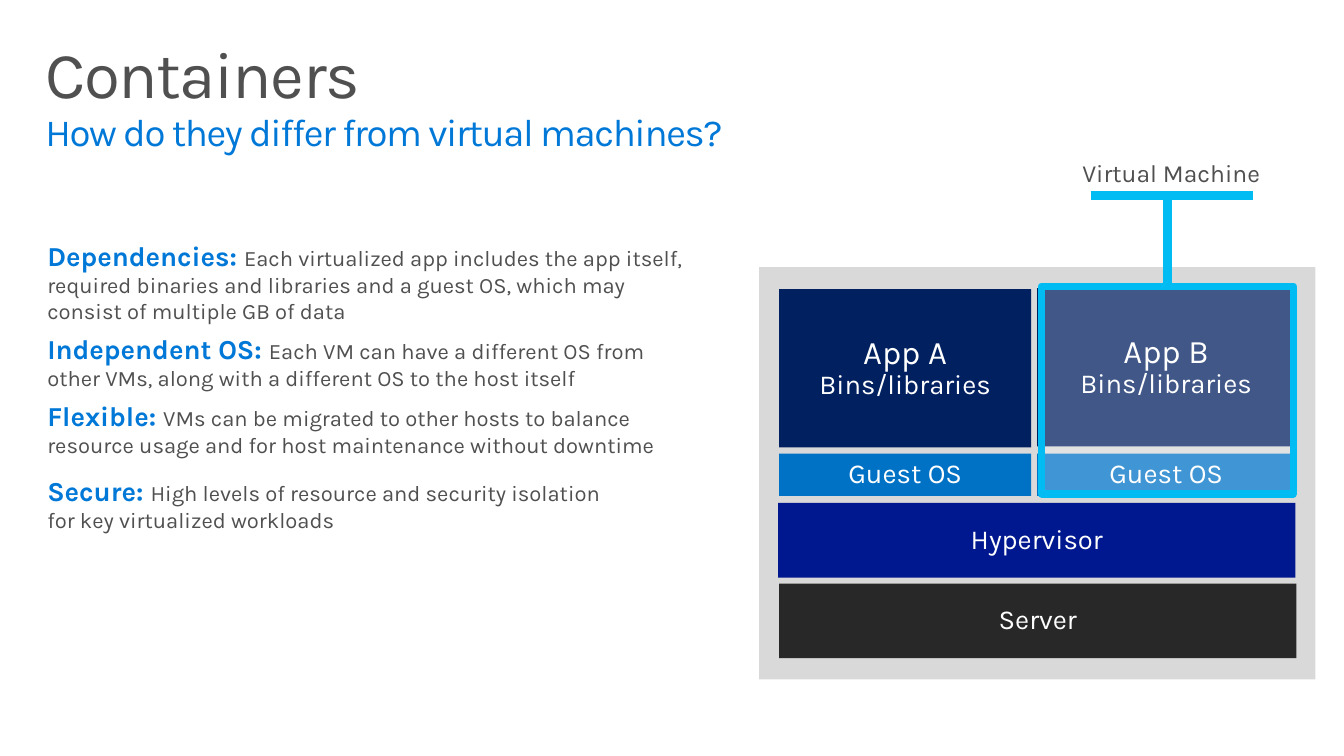
from dataclasses import dataclass

from lxml import etree
from pptx import Presentation
from pptx import util as u
from pptx.dml.color import RGBColor
from pptx.enum import shapes, text
from pptx.oxml import ns


@dataclass(frozen=True)
class Theme:
    """Colours, type sizes and font of the slide."""
    font: str = "Karla"
    ink: str = "505050"
    blue: str = "0078D7"
    white: str = "FFFFFF"
    panel: str = "D9D9D9"
    app: str = "002060"
    guest: str = "0072C6"
    hyper: str = "00188F"
    server: str = "282828"
    cyan: str = "00BCF2"
    title: float = 46.8
    sub: float = 27.4
    name: float = 23.5
    lead: float = 19.6
    label: float = 17.6
    body: float = 15.7


T = Theme()
LEFT, MID = text.PP_ALIGN.LEFT, text.PP_ALIGN.CENTER
POINTS = [
    ("Dependencies: ", "Each virtualized app includes the app itself, required binaries "
     "and libraries and a guest OS, which may consist of multiple GB of data", 0),
    ("Independent OS: ", "Each VM can have a different OS from other VMs, "
     "along with a different OS to the host itself", 0),
    ("Flexible: ", "VMs can be migrated to other hosts to balance resource usage "
     "and for host maintenance without downtime", 6),
    ("Secure: ", "High levels of resource and security isolation\n"
     "for key virtualized workloads", 6),
]


def apply(obj, form):
    """Set each attribute named in a dict of format values."""
    for key, val in form.items():
        setattr(obj, key, val)


def frame(shape, side, top, anchor=text.MSO_ANCHOR.TOP):
    """Set wrapping, anchor and margins, and return the text frame."""
    tf = shape.text_frame
    apply(tf, dict(word_wrap=True, auto_size=text.MSO_AUTO_SIZE.NONE,
                   vertical_anchor=anchor,
                   margin_left=u.Pt(side), margin_right=u.Pt(side),
                   margin_top=u.Pt(top), margin_bottom=u.Pt(top)))
    return tf


def write(para, runs, form, track=None):
    """Fill a paragraph with runs of (words, size, colour, bold)."""
    apply(para, form)
    for words, size, hue, bold in runs:
        for num, line in enumerate(words.split("\n")):
            if num:
                para.add_line_break()
            if not line:
                continue
            run = para.add_run()
            run.text = line
            apply(run.font, dict(name=T.font, size=u.Pt(size), bold=bold))
            run.font.color.rgb = RGBColor.from_string(hue)
            if track:
                run.font._element.set("spc", str(track))


def block(slide, box, hue, runs=()):
    """Draw a filled rectangle with centred text."""
    rect = slide.shapes.add_shape(shapes.MSO_SHAPE.RECTANGLE, *map(u.Pt, box))
    rect.shadow.inherit = False
    rect.fill.solid()
    rect.fill.fore_color.rgb = RGBColor.from_string(hue)
    rect.line.fill.background()
    if runs:
        tf = frame(rect, 14.4, 11.5, text.MSO_ANCHOR.MIDDLE)
        write(tf.paragraphs[0], [(words, size, T.white, False) for words, size in runs],
              dict(alignment=MID, line_spacing=0.9))
    return rect


def stroke(slide, ends):
    """Draw a straight cyan line between two points."""
    line = slide.shapes.add_connector(shapes.MSO_CONNECTOR.STRAIGHT, *map(u.Pt, ends))
    line.line.color.rgb = RGBColor.from_string(T.cyan)
    line.line.width = u.Pt(6.25)
    etree.SubElement(line._element.spPr, ns.qn("a:effectLst"))
    return line


def head(slide, box):
    """Place the title and its question."""
    title = slide.shapes.title
    apply(title, dict(zip(("left", "top", "width", "height"), map(u.Pt, box))))
    tf = frame(title, 11.5, 7.2)
    write(tf.paragraphs[0],
          [("Containers\n", T.title, T.ink, False),
           ("How do they differ from virtual machines?", T.sub, T.blue, False)],
          dict(alignment=LEFT, line_spacing=0.9), -100)


def points(slide, box):
    """Place the list of traits with bold lead words."""
    tf = frame(slide.shapes.add_textbox(*map(u.Pt, box)), 11.5, 7.2)
    for num, (lead, words, after) in enumerate(POINTS):
        para = tf.add_paragraph() if num else tf.paragraphs[0]
        write(para, [(lead, T.lead, T.blue, True), (words, T.body, T.ink, False)],
              dict(alignment=LEFT, line_spacing=0.99,
                   space_before=u.Pt(5.9 if num else 0), space_after=u.Pt(after)))


def stack(slide, box):
    """Draw the layers of the host inside its panel."""
    x, y, wide, high = box
    block(slide, box, T.panel)
    for name, dx, dy, span in (("App A", 14.4, 15.8, 180), ("App B", 198.7, 15.1, 184.3)):
        block(slide, (x + dx, y + dy, span, 113), T.app,
              [(name + "\n", T.name), ("Bins/libraries", T.lead)])
        block(slide, (x + dx, y + 133.2, span, 30.2), T.guest, [("Guest OS", T.lead)])
    for name, hue, dx, dy in (("Hypervisor", T.hyper, 13.7, 168.5),
                              ("Server", T.server, 14.4, 226.1)):
        block(slide, (x + dx, y + dy, wide - 28, 53.3), hue, [(name, T.lead)])


def callout(slide, box):
    """Frame the virtual machine and label it above."""
    x, y, wide, high = box
    mid = x + wide / 2
    rim = block(slide, box, T.white)
    tint = rim.fill._xPr.find(ns.qn("a:solidFill"))[0]
    etree.SubElement(tint, ns.qn("a:alpha")).set("val", "25000")
    rim.line.color.rgb = RGBColor.from_string(T.cyan)
    rim.line.width = u.Pt(5.25)
    stem = stroke(slide, (mid, y - 67, mid, y))
    stem.end_connect(rim, 0)
    stroke(slide, (mid - 54.8, y - 64.8, mid + 61.2, y - 64.8))
    label = slide.shapes.add_textbox(*map(u.Pt, (mid - 81.4, y - 100.8, 168.5, 41.8)))
    tf = frame(label, 14.4, 11.5)
    write(tf.paragraphs[0], [("Virtual Machine", T.label, T.ink, False)],
          dict(alignment=MID, line_spacing=0.9, space_after=u.Pt(5.9)))


def main():
    """Build the slide and save it."""
    deck = Presentation()
    apply(deck, dict(slide_width=u.Pt(960), slide_height=u.Pt(540)))
    slide = deck.slides.add_slide(deck.slide_layouts[5])
    head(slide, (20.9, 23, 918, 70.6))
    points(slide, (22.3, 164.2, 482.4, 295.9))
    stack(slide, (542.2, 190.8, 397.4, 294.5))
    callout(slide, (743.8, 204.5, 180, 148.3))
    deck.save("out.pptx")


if __name__ == "__main__":
    main()
